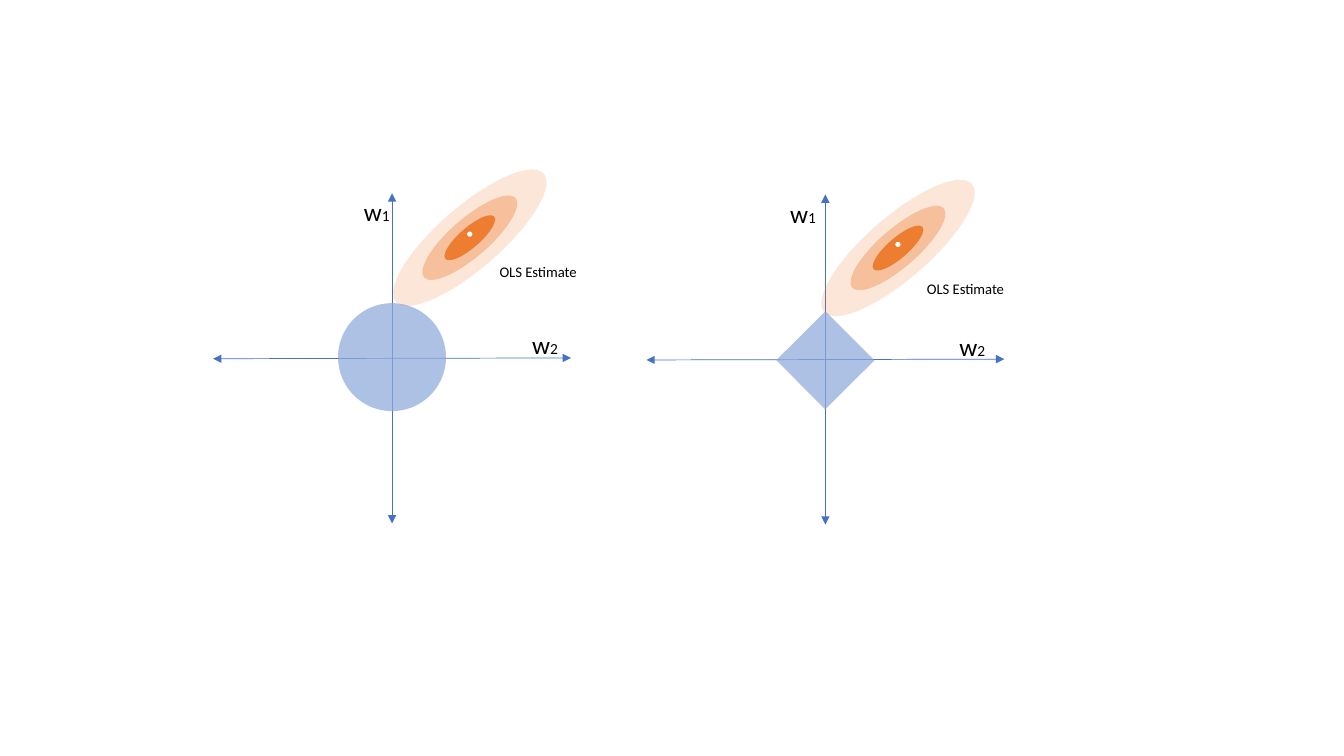
import pptx
import pptx.util
from lxml import etree
from pptx.dml.color import RGBColor
from pptx.enum.shapes import MSO_CONNECTOR, MSO_SHAPE
from pptx.enum.text import MSO_AUTO_SIZE
from pptx.oxml.ns import qn
from pptx.util import Cm

AXIS_BLUE = RGBColor(0x44, 0x72, 0xC4)
REGION_BLUE = RGBColor(0x8F, 0xAA, 0xDC)
CONTOUR_ORANGE = RGBColor(0xED, 0x7D, 0x31)
WHITE = RGBColor(0xFF, 0xFF, 0xFF)
BLACK = RGBColor(0, 0, 0)

PANELS = [
    {
        "origin": (9.88, 9.03),
        "region": (MSO_SHAPE.OVAL, 2.72, 0, -0.03),
        "estimate": (11.84, 5.99),
        "labels": [(8.92, 4.83), (13.16, 8.18), (12.34, 6.5)],
    },
    {
        "origin": (20.8, 9.06),
        "region": (MSO_SHAPE.RECTANGLE, 1.75, 45.1, 0.02),
        "estimate": (22.63, 6.25),
        "labels": [(19.66, 4.88), (23.93, 8.23), (23.11, 6.93)],
    },
]
LABELS = [
    ([("w", 18), ("1", 11)], 1.19, 1.02, False),
    ([("w", 18), ("2", 11)], 1.19, 1.02, False),
    ([("OLS Estimate", 10.5)], 3.89, 0.74, True),
]
CONTOURS = [(4.93, 1.57, 19), (3.05, 0.97, 36), (1.63, 0.51, 100)]
CONTOUR_ANGLE = 139.1
HALF_WIDTH, HALF_HEIGHT, TILT = 4.51, 4.16, 0.01
DOT_SIZE, DOT_RISE = 0.13, 0.09


def add_axis(slide, start, end):
    axis = slide.shapes.add_connector(
        MSO_CONNECTOR.STRAIGHT, *(Cm(value) for value in start + end))
    axis.line.color.rgb = AXIS_BLUE
    axis.line.width = pptx.util.Pt(0.5)
    outline = axis.line._get_or_add_ln()
    for arrowhead in ("a:headEnd", "a:tailEnd"):
        etree.SubElement(outline, qn(arrowhead), type="triangle")
    etree.SubElement(axis._element.spPr, qn("a:effectLst"))


def add_centred(slide, kind, center, width, height, color, opacity=100, angle=0):
    x, y = center
    figure = slide.shapes.add_shape(
        kind, Cm(x - width / 2), Cm(y - height / 2), Cm(width), Cm(height))
    figure.rotation = angle
    figure.shadow.inherit = False
    figure.line.fill.background()
    figure.fill.solid()
    figure.fill.fore_color.rgb = color
    if opacity < 100:
        tint = figure._element.spPr.find(qn("a:solidFill"))[0]
        etree.SubElement(tint, qn("a:alpha"), val=str(opacity * 1000))


def add_label(slide, corner, pieces, width, height, wrap):
    x, y = corner
    frame = slide.shapes.add_textbox(Cm(x), Cm(y), Cm(width), Cm(height)).text_frame
    frame.word_wrap = wrap
    frame.auto_size = MSO_AUTO_SIZE.SHAPE_TO_FIT_TEXT
    paragraph = frame.paragraphs[0]
    for text, size in pieces:
        run = paragraph.add_run()
        run.text = text
        run.font.size = pptx.util.Pt(size)
    paragraph.font.name = "Calibri"
    paragraph.font.color.rgb = BLACK


def draw_panel(slide, panel):
    x, y = panel["origin"]
    add_axis(slide, (x, y - HALF_HEIGHT), (x, y + HALF_HEIGHT))
    add_axis(slide, (x + HALF_WIDTH, y - TILT), (x - HALF_WIDTH, y + TILT))

    kind, size, angle, drop = panel["region"]
    add_centred(slide, kind, (x, y + drop), size, size, REGION_BLUE, 73, angle)

    estimate_x, estimate_y = panel["estimate"]
    for width, height, opacity in CONTOURS:
        add_centred(slide, MSO_SHAPE.OVAL, panel["estimate"], width, height,
                    CONTOUR_ORANGE, opacity, CONTOUR_ANGLE)
    add_centred(slide, MSO_SHAPE.OVAL, (estimate_x, estimate_y - DOT_RISE),
                DOT_SIZE, DOT_SIZE, WHITE)

    for corner, label in zip(panel["labels"], LABELS):
        add_label(slide, corner, *label)


def main():
    deck = pptx.Presentation()
    deck.slide_width, deck.slide_height = Cm(33.87), Cm(19.05)
    slide = deck.slides.add_slide(deck.slide_layouts[6])
    for panel in PANELS:
        draw_panel(slide, panel)
    deck.save("out.pptx")


if __name__ == "__main__":
    main()
